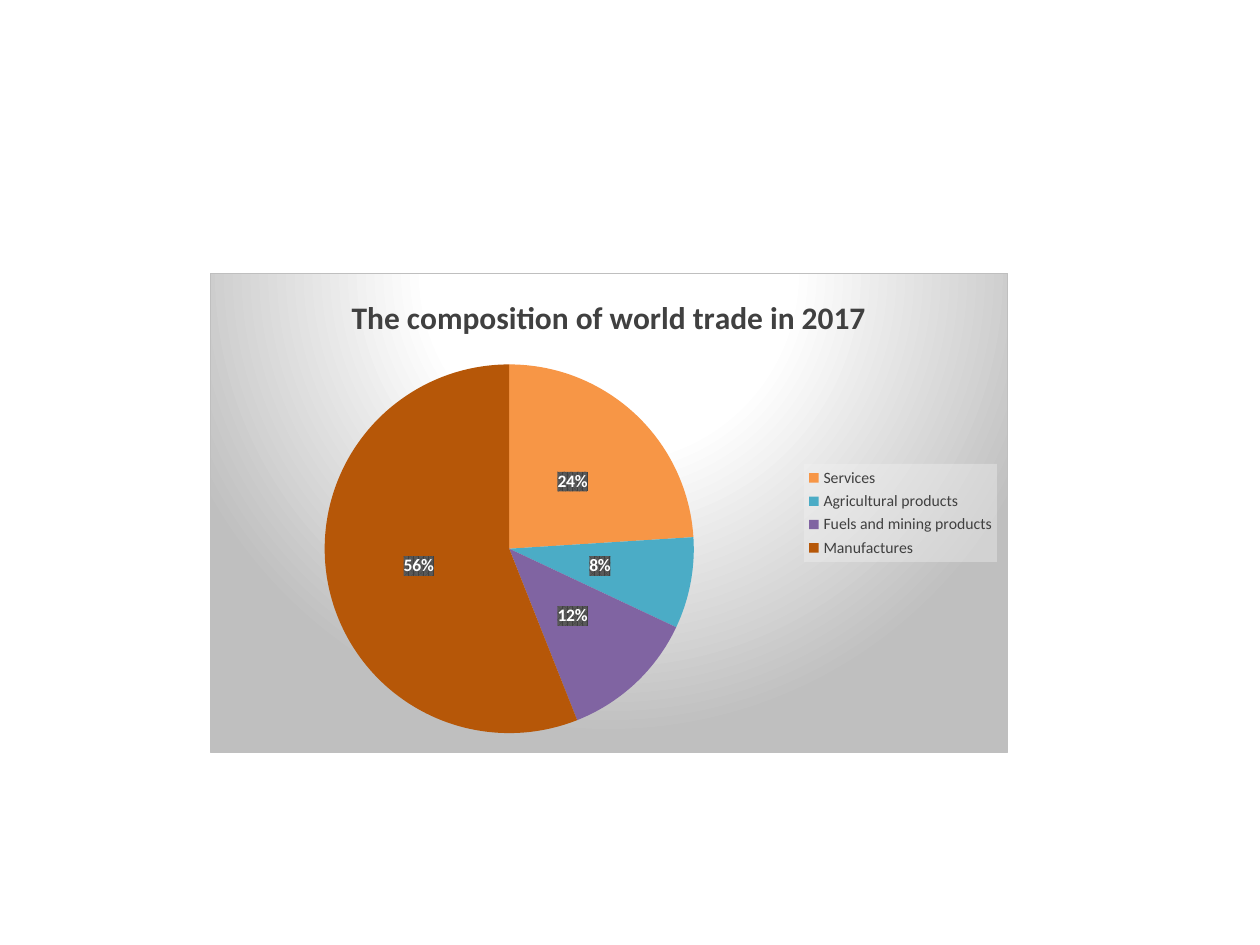
from dataclasses import dataclass

from lxml import etree
from pptx import Presentation
from pptx import util as u
from pptx.chart import data as cd
from pptx.dml.color import RGBColor
from pptx.enum import chart as ch

A = "http://schemas.openxmlformats.org/drawingml/2006/main"
C = "http://schemas.openxmlformats.org/drawingml/2006/chart"


@dataclass
class Theme:
    font: str = "Calibri"
    dark: str = "404040"
    mid: str = "595959"
    edge: str = "BFBFBF"
    pale: str = "F2F2F2"
    white: str = "FFFFFF"
    black: str = "000000"
    head: int = 18
    label: int = 10
    key: int = 9
    hues: tuple = ("F79646", "4BACC6", "8064A2", "B65708")


class Deck:
    """Holds the theme and the current slide, and adds styled elements."""

    def __init__(self, theme):
        self.theme = theme
        self.prs = Presentation()
        self.prs.slide_width = u.Cm(25.4)
        self.prs.slide_height = u.Cm(19.05)
        self.slide = self.prs.slides.add_slide(self.prs.slide_layouts[6])

    def style(self, font, size, color, bold=False):
        font.name = self.theme.font
        font.size = u.Pt(size)
        font.bold = bold
        font.color.rgb = RGBColor.from_string(color)

    def props(self, body):
        return etree.fromstring(f'<c:spPr xmlns:c="{C}" xmlns:a="{A}">{body}</c:spPr>')

    def color(self, code, inner=""):
        return f'<a:srgbClr val="{code}">{inner}</a:srgbClr>'

    def pie(self, title, data, box):
        book = cd.CategoryChartData()
        book.categories = list(data)
        book.add_series("Series 1", list(data.values()))
        frame = self.slide.shapes.add_chart(
            ch.XL_CHART_TYPE.PIE, *(u.Cm(n) for n in box), book)
        chart = frame.chart
        self.style(chart.font, self.theme.label, self.theme.black)
        self.title(chart, title)
        self.legend(chart)
        self.slices(chart.plots[0])
        self.place(chart, x=0.14, y=0.19, w=0.47, h=0.77)
        self.back(chart)

    def title(self, chart, words):
        chart.has_title = True
        run = chart.chart_title.text_frame.paragraphs[0].add_run()
        run.text = words
        self.style(run.font, self.theme.head, self.theme.dark, True)
        chart.chart_title.include_in_layout = False

    def legend(self, chart):
        chart.has_legend = True
        key = chart.legend
        key.position = ch.XL_LEGEND_POSITION.RIGHT
        key.include_in_layout = False
        self.style(key.font, self.theme.key, self.theme.dark)
        shade = self.color(self.theme.pale, '<a:alpha val="39000"/>')
        node = key._element.find(f"{{{C}}}txPr")
        node.addprevious(self.props(f"<a:solidFill>{shade}</a:solidFill>"))

    def slices(self, plot):
        plot.vary_by_categories = True
        series = plot.series[0]
        for i, code in enumerate(self.theme.hues):
            fill = series.points[i].format.fill
            fill.solid()
            fill.fore_color.rgb = RGBColor.from_string(code)
        tags = series.data_labels
        tags.show_percentage = True
        tags.show_value = False
        tags.position = ch.XL_LABEL_POSITION.CENTER
        self.style(tags.font, self.theme.label, self.theme.white, True)
        fore, back = self.color(self.theme.dark), self.color(self.theme.mid)
        node = tags._element.find(f"{{{C}}}txPr")
        node.addprevious(self.props(
            f'<a:pattFill prst="pct75"><a:fgClr>{fore}</a:fgClr>'
            f"<a:bgClr>{back}</a:bgClr></a:pattFill>"))

    def place(self, chart, **spot):
        area = chart._chartSpace.chart.plotArea
        for old in area.findall(f"{{{C}}}layout"):
            area.remove(old)
        rules = {"layoutTarget": "inner", "xMode": "edge", "yMode": "edge", **spot}
        layout = etree.Element(f"{{{C}}}layout")
        manual = etree.SubElement(layout, f"{{{C}}}manualLayout")
        for name, value in rules.items():
            etree.SubElement(manual, f"{{{C}}}{name}").set("val", str(value))
        area.insert(0, layout)

    def back(self, chart):
        stops = ((0, self.theme.white), (39, self.theme.white), (100, self.theme.edge))
        fade = "".join(f'<a:gs pos="{at * 1000}">{self.color(code)}</a:gs>'
                       for at, code in stops)
        chart._chartSpace.chart.addnext(self.props(
            f'<a:gradFill><a:gsLst>{fade}</a:gsLst><a:path path="circle">'
            '<a:fillToRect l="50000" t="-80000" r="50000" b="180000"/></a:path></a:gradFill>'
            f'<a:ln w="{u.Pt(0.75)}"><a:solidFill>{self.color(self.theme.edge)}'
            "</a:solidFill></a:ln>"))


def main():
    deck = Deck(Theme())
    trade = {"Services": 24, "Agricultural products": 8,
             "Fuels and mining products": 12, "Manufactures": 56}
    deck.pie("The composition of world trade in 2017", trade, (4.23, 5.5, 16.09, 9.68))
    deck.prs.save("out.pptx")


if __name__ == "__main__":
    main()
